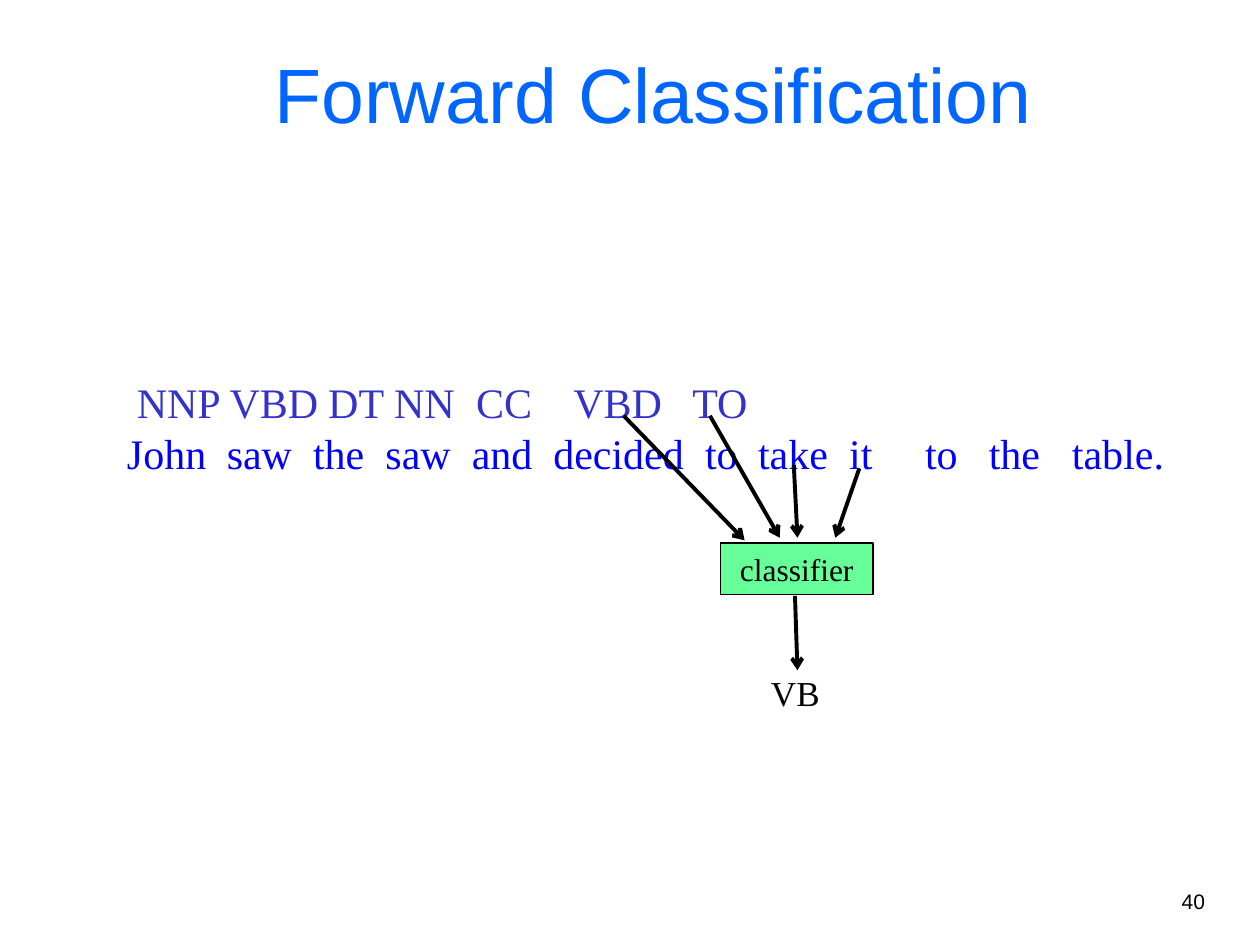
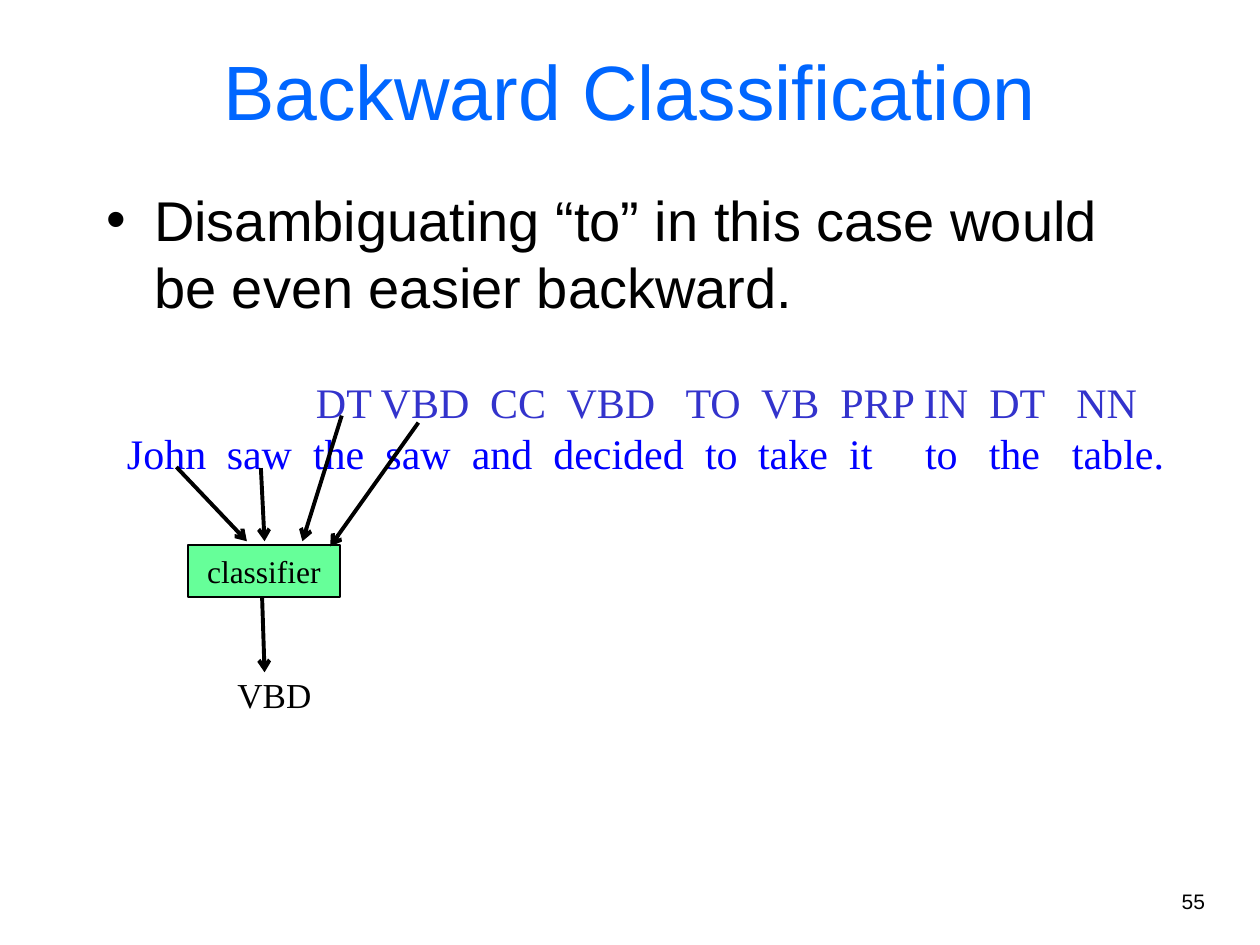
from lxml import etree
from pptx import Presentation
from pptx.dml.color import RGBColor
from pptx.enum.shapes import MSO_CONNECTOR, MSO_SHAPE
from pptx.enum.text import MSO_ANCHOR, PP_ALIGN
from pptx.oxml.ns import qn
from pptx.util import Pt

LEFT, CENTER, RIGHT = PP_ALIGN.LEFT, PP_ALIGN.CENTER, PP_ALIGN.RIGHT
TOP, MIDDLE = MSO_ANCHOR.TOP, MSO_ANCHOR.MIDDLE
STRAIGHT, RECTANGLE = MSO_CONNECTOR.STRAIGHT, MSO_SHAPE.RECTANGLE

COLORS = {
    "title": "0066FF",
    "text": "000000",
    "tags": "3333CC",
    "words": "0000FF",
    "classifier": "66FF99",
}
STYLES = {
    "title": {"name": "Arial", "size": Pt(44)},
    "body": {"name": "Arial", "size": Pt(32)},
    "number": {"name": "Arial", "size": Pt(12)},
    "sentence": {"name": "Times New Roman", "size": Pt(24)},
    "classifier": {"name": "Times New Roman", "size": Pt(18)},
    "result": {"name": "Times New Roman", "size": Pt(20)},
}
SENTENCE = [
    ("John", 0), ("saw", 57), ("the", 106.3), ("saw", 147.7), ("and", 197),
    ("decided", 243.6), ("to", 330.3), ("take", 360.6), ("it", 412.7),
    ("to", 456), ("the", 492.5), ("table.", 540),
]
SLIDES = [
    {
        "title": "Forward Classification",
        "title_box": (67.5, 8, 612, 90),
        "number": "40",
        "tags": [
            ("NNP", 5.6), ("VBD", 58.6), ("DT", 115), ("NN", 152.6),
            ("CC", 199.5), ("VBD", 255), ("TO", 323),
        ],
        "classifier_box": (411.8, 310.3, 87, 29.5),
        "inputs": [
            ((-55.4, -72.7), (13.7, -1.5)),
            ((-6.1, -72.7), (33.8, -3)),
            ((41.8, -44.6), (43.9, -3)),
            ((79.2, -42.5), (65.5, -3)),
        ],
        "result": ("VB", 55.4),
    },
    {
        "title": "Backward Classification",
        "title_box": (54, 6, 612, 90),
        "number": "55",
        "body": "Disambiguating “to” in this case would be even easier backward.",
        "tags": [
            ("DT", 108), ("VBD", 145), ("CC", 207.5), ("VBD", 251.2),
            ("TO", 319.2), ("VB", 362.3), ("PRP", 407.6), ("IN", 455.4),
            ("DT", 492.8), ("NN", 542.5),
        ],
        "classifier_box": (107.3, 311.5, 87, 29.5),
        "inputs": [
            ((-6.5, -44.6), (33.8, -2.2)),
            ((41.8, -44), (43.9, -2.2)),
            ((88, -74), (65.5, -2.2)),
            ((131.8, -70), (81.4, 0.7)),
        ],
        "result": ("VBD", 69.1),
    },
]


def color(name):
    """Return a named colour."""
    return RGBColor.from_string(COLORS[name])


def points(values):
    """Convert numbers to lengths in points."""
    return [Pt(value) for value in values]


def set_values(target, values):
    """Set attributes from a dict."""
    for name, value in values.items():
        setattr(target, name, value)


def format_paragraph(paragraph, text, style, color_name="text", align=LEFT):
    """Write and format one paragraph."""
    paragraph.add_run().text = text
    paragraph.alignment = align
    set_values(paragraph.runs[0].font, STYLES[style])
    paragraph.runs[0].font.color.rgb = color(color_name)


def format_frame(shape, anchor=TOP):
    """Set wrapping, anchor and margins of a shape's text."""
    frame = shape.text_frame
    set_values(frame, {
        "word_wrap": True, "vertical_anchor": anchor,
        "margin_left": Pt(7.2), "margin_right": Pt(7.2),
        "margin_top": Pt(3.6), "margin_bottom": Pt(3.6),
    })
    return frame


def add_text(slide, box, text, style, align=LEFT):
    """Add a text box with one paragraph."""
    frame = format_frame(slide.shapes.add_textbox(*points(box)))
    format_paragraph(frame.paragraphs[0], text, style, align=align)
    return frame


def add_title(slide, text, box):
    """Place and format the title placeholder."""
    title = slide.shapes.title
    left, top, width, height = points(box)
    set_values(title, {"left": left, "top": top, "width": width, "height": height})
    frame = format_frame(title, MIDDLE)
    format_paragraph(frame.paragraphs[0], text, "title", "title", CENTER)


def add_body(slide, text, box):
    """Add the bulleted statement."""
    paragraph = add_text(slide, box, text, "body").paragraphs[0]
    properties = paragraph._p.get_or_add_pPr()
    properties.set("marL", str(Pt(27)))
    properties.set("indent", str(Pt(-27)))
    etree.SubElement(properties, qn("a:buFont"), typeface="Arial")
    etree.SubElement(properties, qn("a:buChar"), char="•")


def add_aligned_line(paragraph, items, color_name):
    """Set words at their tab stops."""
    properties = paragraph._p.get_or_add_pPr()
    tabs = etree.SubElement(properties, qn("a:tabLst"))
    for _, position in items:
        if position:
            etree.SubElement(tabs, qn("a:tab"), pos=str(Pt(position)), algn="l")
    text = "".join(f"\t{word}" if position else word for word, position in items)
    format_paragraph(paragraph, text, "sentence", color_name)


def add_tagged_sentence(slide, tags, box):
    """Add the tags above the words of the sentence."""
    frame = format_frame(slide.shapes.add_textbox(*points(box)))
    frame.margin_right = 0
    add_aligned_line(frame.paragraphs[0], tags, "tags")
    add_aligned_line(frame.add_paragraph(), SENTENCE, "words")


def add_arrow(slide, start, end):
    """Add a black arrow."""
    arrow = slide.shapes.add_connector(STRAIGHT, *points((*start, *end)))
    arrow.line.color.rgb = color("text")
    arrow.line.width = Pt(2.25)
    line = arrow.line._get_or_add_ln()
    etree.SubElement(line, qn("a:tailEnd"), type="arrow")
    etree.SubElement(arrow._element.spPr, qn("a:effectLst"))


def add_classifier(slide, box, inputs, result):
    """Add the classifier with its input arrows and result."""
    left, top, _, _ = box
    shape = slide.shapes.add_shape(RECTANGLE, *points(box))
    shape.shadow.inherit = False
    shape.fill.solid()
    shape.fill.fore_color.rgb = color("classifier")
    shape.line.color.rgb = color("text")
    shape.line.width = Pt(1)
    frame = format_frame(shape, MIDDLE)
    format_paragraph(frame.paragraphs[0], "classifier", "classifier", align=CENTER)
    output = ((42.5, 30.2), (43.9, 72.7))
    for start, end in [*inputs, output]:
        add_arrow(slide, (left + start[0], top + start[1]), (left + end[0], top + end[1]))
    label, width = result
    add_text(slide, (left + 15, top + 70, width, 31), label, "result", CENTER)


def add_classification_slide(presentation, content):
    """Build one classification slide."""
    slide = presentation.slides.add_slide(presentation.slide_layouts[5])
    add_title(slide, content["title"], content["title_box"])
    add_text(slide, (545.8, 504, 149.8, 36), content["number"], "number", RIGHT)
    if "body" in content:
        add_body(slide, content["body"], (54, 102.2, 612, 378))
    add_tagged_sentence(slide, content["tags"], (65.5, 211.7, 607.7, 64.8))
    add_classifier(slide, content["classifier_box"], content["inputs"], content["result"])


def main():
    """Build and save the presentation."""
    presentation = Presentation()
    presentation.slide_width, presentation.slide_height = Pt(720), Pt(540)
    for content in SLIDES:
        add_classification_slide(presentation, content)
    presentation.save("out.pptx")


if __name__ == "__main__":
    main()
